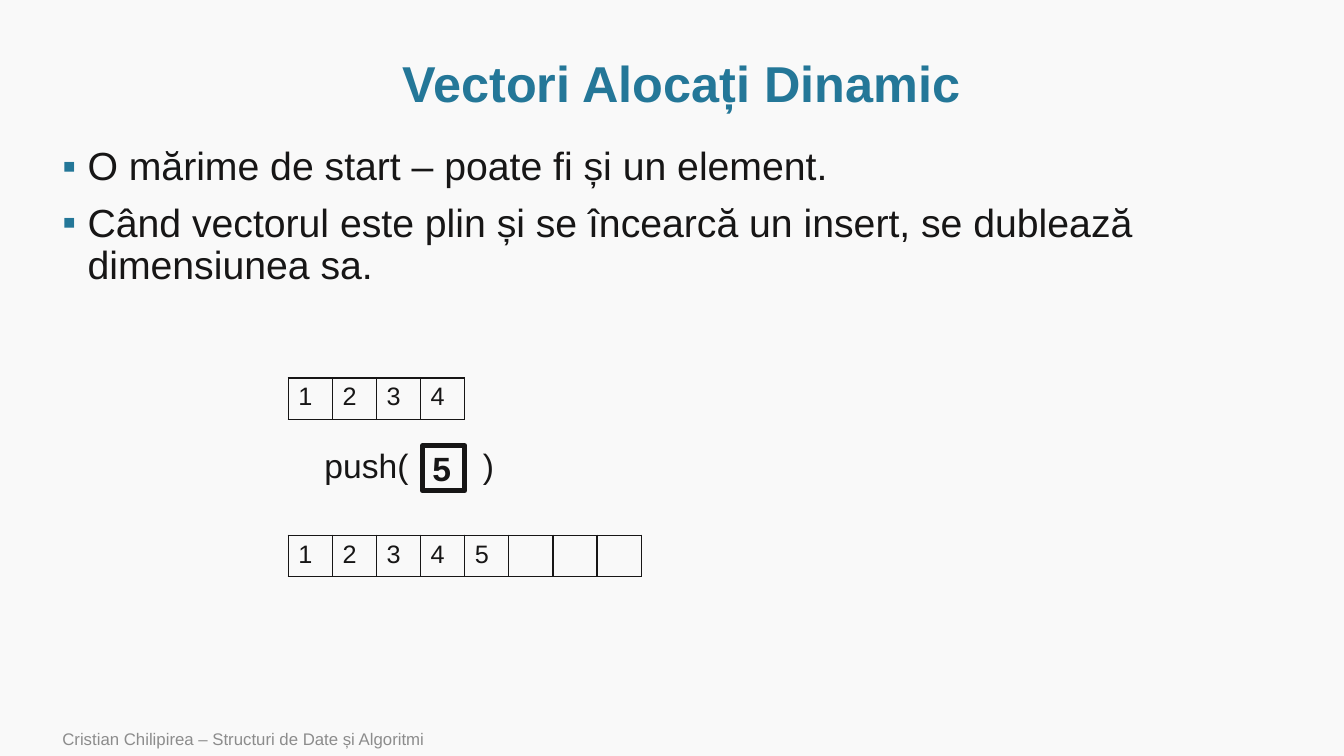
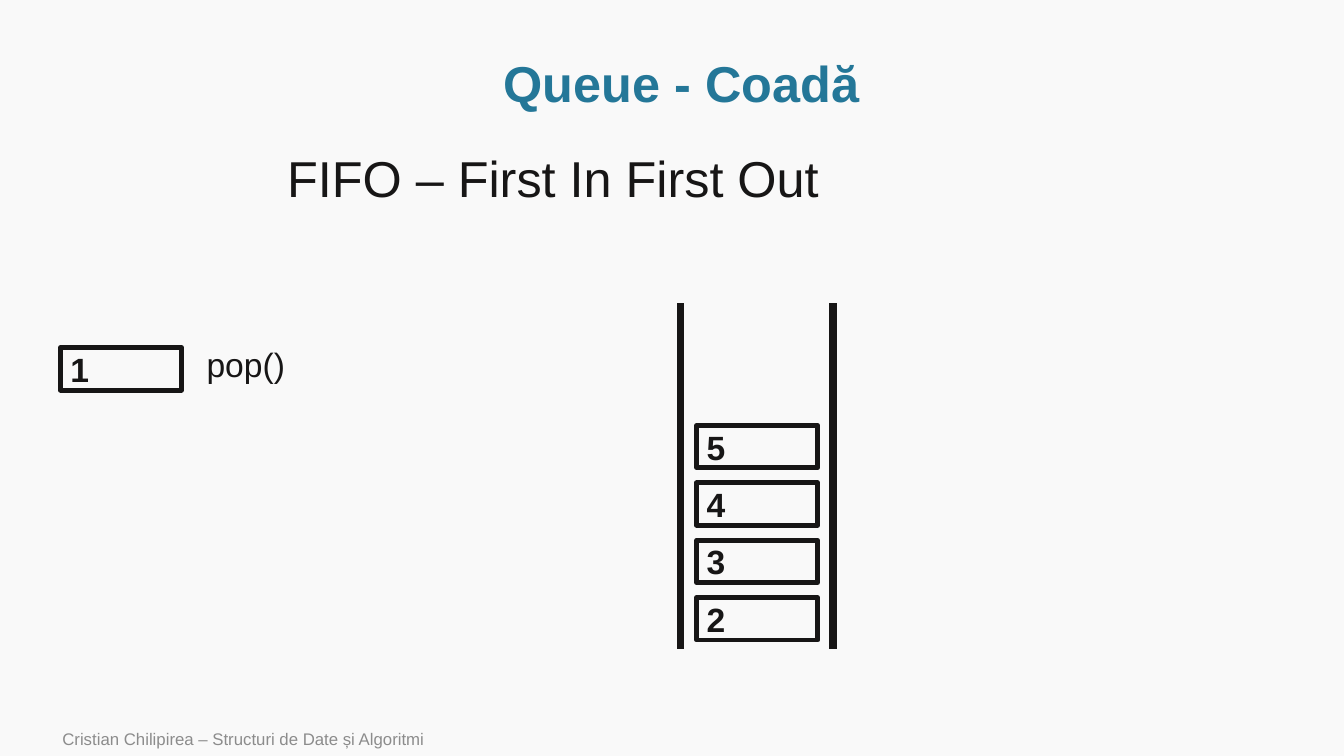
from lxml import etree
from pptx import Presentation
from pptx.dml.color import RGBColor
from pptx.enum.shapes import MSO_CONNECTOR, MSO_SHAPE
from pptx.enum.text import MSO_ANCHOR, PP_ALIGN
from pptx.oxml.ns import qn
from pptx.util import Inches, Pt

LINE, RECT = MSO_CONNECTOR.STRAIGHT, MSO_SHAPE.RECTANGLE
TOP, MIDDLE = MSO_ANCHOR.TOP, MSO_ANCHOR.MIDDLE
LEFT, CENTER = PP_ALIGN.LEFT, PP_ALIGN.CENTER

FONT = "Arial"
PAPER, ACCENT, INK, GREY = "F9F9F9", "247798", "171616", "8C8C8C"
FOOTER = "Cristian Chilipirea – Structuri de Date și Algoritmi"

VECTOR_TITLE = "Vectori Alocați Dinamic"
VECTOR_POINTS = [
    "O mărime de start – poate fi și un element.",
    "Când vectorul este plin și se încearcă un insert, se dublează dimensiunea sa.",
]
VECTOR_LEFT, CELL_W, CELL_H = 2.86, 0.4375, 0.41
VECTOR_BLOCKS = [
    (0, 3.75, ["1", "2", "3", "4"]),
    (0, 5.31, ["1", "2", "3", "4"]),
    (4, 5.31, ["5", "", "", ""]),
]

QUEUE_TITLE = "Queue - Coadă"
QUEUE_RULE = "FIFO – First In First Out"
QUEUE = ["2", "3", "4", "5"]
QUEUE_LEFT, QUEUE_BOTTOM, QUEUE_STEP = 6.91, 5.93, 0.57
ITEM_W, ITEM_H = 1.2, 0.42
WALLS, WALL_TOP, WALL_BOTTOM = (6.75, 8.26), 3.01, 6.44


def rgb(value):
    return RGBColor.from_string(value)


def add_bullet(p):
    pPr = p._p.get_or_add_pPr()
    pPr.set("marL", str(Inches(0.25)))
    pPr.set("indent", str(-Inches(0.25)))
    color = etree.SubElement(pPr, qn("a:buClr"))
    etree.SubElement(color, qn("a:srgbClr"), val=ACCENT)
    etree.SubElement(pPr, qn("a:buFont"), typeface=FONT)
    etree.SubElement(pPr, qn("a:buChar"), char="▪")


def write(tf, text, size=24, color=INK, bold=False, align=LEFT, anchor=TOP,
          spacing=None, before=0, bullet=False, wrap=True):
    tf.word_wrap = wrap
    tf.vertical_anchor = anchor
    for i, line in enumerate([text] if isinstance(text, str) else text):
        p = tf.add_paragraph() if i else tf.paragraphs[0]
        p.alignment = align
        if spacing:
            p.line_spacing = spacing
        if i:
            p.space_before = Pt(before)
        if bullet:
            add_bullet(p)
        r = p.add_run()
        r.text = line
        r.font.name, r.font.size, r.font.bold = FONT, Pt(size), bold
        r.font.color.rgb = rgb(color)


def add_text(s, text, x, y, w, h, **style):
    box = s.shapes.add_textbox(Inches(x), Inches(y), Inches(w), Inches(h))
    write(box.text_frame, text, **style)


def add_item(s, text, x, y, w=ITEM_W, h=ITEM_H):
    sp = s.shapes.add_shape(RECT, Inches(x), Inches(y), Inches(w), Inches(h))
    sp.shadow.inherit = False
    sp.fill.background()
    sp.line.color.rgb = rgb(INK)
    sp.line.width = Pt(3.5)
    write(sp.text_frame, text, bold=True, anchor=MIDDLE)


def add_wall(s, x):
    wall = s.shapes.add_connector(LINE, Inches(x), Inches(WALL_TOP),
                                  Inches(x), Inches(WALL_BOTTOM))
    wall.line.color.rgb = rgb(INK)
    wall.line.width = Pt(5.5)
    etree.SubElement(wall._element.spPr, qn("a:effectLst"))


def add_borders(cell):
    tcPr = cell._tc.get_or_add_tcPr()
    for i, side in enumerate(("a:lnL", "a:lnR", "a:lnT", "a:lnB")):
        ln = etree.Element(qn(side), w=str(Pt(1)))
        fill = etree.SubElement(ln, qn("a:solidFill"))
        etree.SubElement(fill, qn("a:srgbClr"), val=INK)
        tcPr.insert(i, ln)


def add_block(s, start, y, values):
    x = VECTOR_LEFT + start * CELL_W
    table = s.shapes.add_table(1, len(values), Inches(x), Inches(y),
                               Inches(CELL_W * len(values)), Inches(CELL_H)).table
    table.first_row = table.horz_banding = False
    for i, value in enumerate(values):
        table.columns[i].width = Inches(CELL_W)
        cell = table.cell(0, i)
        cell.fill.background()
        add_borders(cell)
        write(cell.text_frame, value, size=18)


def add_slide(prs, title):
    s = prs.slides.add_slide(prs.slide_layouts[6])
    s.background.fill.solid()
    s.background.fill.fore_color.rgb = rgb(PAPER)
    add_text(s, title, 1.01, 0.51, 11.5, 0.69, size=36, color=ACCENT, bold=True,
             align=CENTER, anchor=MIDDLE, spacing=0.9)
    add_text(s, FOOTER, 0.52, 7.16, 8.4, 0.34, size=12, color=GREY, anchor=MIDDLE)
    return s


def build_vector(prs):
    s = add_slide(prs, VECTOR_TITLE)
    add_text(s, VECTOR_POINTS, 0.52, 1.41, 12.25, 5.48, size=28, spacing=0.9,
             before=10, bullet=True)
    for block in VECTOR_BLOCKS:
        add_block(s, *block)
    add_text(s, "push(", 3.12, 4.36, 1.04, 0.5, wrap=False)
    add_item(s, "5", 4.19, 4.42, 0.42, 0.45)
    add_text(s, ")", 4.69, 4.36, 0.33, 0.5, wrap=False)


def build_queue(prs):
    s = add_slide(prs, QUEUE_TITLE)
    add_text(s, QUEUE_RULE, 2.75, 1.48, 6.08, 0.84, size=36, spacing=0.9)
    for x in WALLS:
        add_wall(s, x)
    for i, value in enumerate(QUEUE):
        add_item(s, value, QUEUE_LEFT, QUEUE_BOTTOM - i * QUEUE_STEP)
    add_item(s, "1", 0.6, 3.45)
    add_text(s, "pop()", 1.95, 3.36, 0.99, 0.5, wrap=False)


def main():
    """Build the vector and queue slides."""
    prs = Presentation()
    prs.slide_width, prs.slide_height = Inches(13.33), Inches(7.5)
    build_vector(prs)
    build_queue(prs)
    prs.save("out.pptx")


if __name__ == "__main__":
    main()
